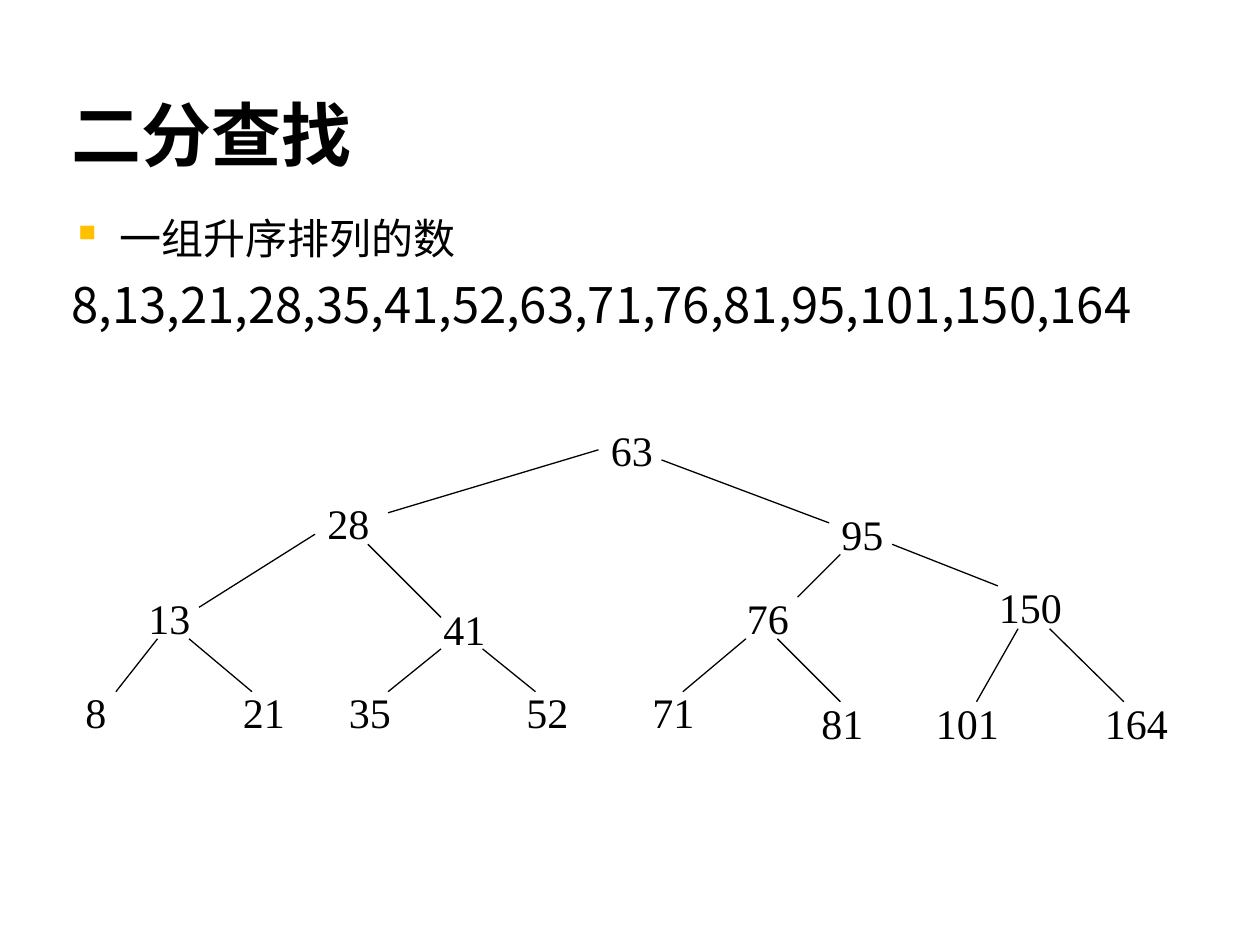
from lxml import etree
from pptx import Presentation
from pptx.dml.color import RGBColor
from pptx.enum import shapes, text
from pptx.oxml.ns import qn
from pptx.util import Inches, Pt

BLACK = RGBColor(0x00, 0x00, 0x00)
AMBER = RGBColor(0xFF, 0xC0, 0x00)
WHITE = RGBColor(0xFF, 0xFF, 0xFF)
CJK, SERIF = "Noto Sans CJK SC", "Times New Roman"

TITLE = "二分查找"
INTRO = "一组升序排列的数"
NUMBERS = [8, 13, 21, 28, 35, 41, 52, 63, 71, 76, 81, 95, 101, 150, 164]

# value: left, top of its label
NODES = {
    63: (4.75, 3.32),
    28: (2.5, 3.9), 95: (6.58, 3.99),
    13: (1.08, 4.65), 41: (3.42, 4.74), 76: (5.83, 4.65), 150: (7.83, 4.57),
    8: (0.58, 5.4), 21: (1.83, 5.4), 35: (2.67, 5.4), 52: (4.08, 5.4),
    71: (5.08, 5.4), 81: (6.42, 5.49), 101: (7.33, 5.49), 164: (8.67, 5.49),
}
# (parent, child): start x, start y, end x, end y
EDGES = {
    (63, 28): (4.75, 3.57, 3.08, 4.07), (63, 95): (5.25, 3.65, 6.58, 4.15),
    (28, 13): (2.5, 4.24, 1.58, 4.82), (28, 41): (2.92, 4.32, 3.5, 4.9),
    (13, 8): (1.25, 5.07, 0.92, 5.49), (13, 21): (1.5, 5.07, 2, 5.49),
    (41, 35): (3.5, 5.15, 3.08, 5.49), (41, 52): (3.83, 5.15, 4.25, 5.49),
    (95, 76): (6.67, 4.4, 6.33, 4.74), (95, 150): (7.08, 4.32, 7.92, 4.65),
    (76, 71): (5.92, 5.07, 5.42, 5.49), (76, 81): (6.17, 5.07, 6.67, 5.57),
    (150, 101): (8.08, 4.99, 7.75, 5.57), (150, 164): (8.33, 4.99, 8.92, 5.57),
}
NODE_HEIGHT = 0.5


def add_run(p, words, east_asian=CJK, **font):
    r = p.add_run()
    r.text = words
    r.font.color.rgb = BLACK
    for name, value in font.items():
        setattr(r.font, name, value)
    etree.SubElement(r._r.get_or_add_rPr(), qn("a:ea"), typeface=east_asian)


def add_box(s, left, top, width, height):
    box = s.shapes.add_textbox(*map(Inches, (left, top, width, height)))
    box.text_frame.word_wrap = True
    return box


def add_bullet(p, char, color, indent):
    pPr = p._p.get_or_add_pPr()
    pPr.set("marL", str(Inches(indent)))
    pPr.set("indent", str(-Inches(indent)))
    clr = etree.SubElement(pPr, qn("a:buClr"))
    etree.SubElement(clr, qn("a:srgbClr"), val=str(color))
    etree.SubElement(pPr, qn("a:buChar"), char=char)


def add_title(s):
    title = s.shapes.title
    title.left, title.top, title.width, title.height = map(
        Inches, (0.47, 0.47, 9, 0.98))
    tf = title.text_frame
    tf.vertical_anchor = text.MSO_ANCHOR.BOTTOM
    tf.auto_size = text.MSO_AUTO_SIZE.NONE
    p = tf.paragraphs[0]
    p.alignment = text.PP_ALIGN.LEFT
    p.line_spacing = 0.9
    add_run(p, TITLE, name="Calibri", size=Pt(40), bold=True)


def add_body(s):
    tf = add_box(s, 0.47, 1.68, 9.06, 5.21).text_frame
    intro, numbers = tf.paragraphs[0], tf.add_paragraph()
    intro.line_spacing = numbers.line_spacing = 0.9
    add_bullet(intro, "▪", AMBER, 0.38)
    add_run(intro, INTRO, name=CJK, size=Pt(24))
    numbers.space_before = Pt(10)
    add_run(numbers, ",".join(map(str, NUMBERS)), name=CJK, size=Pt(28))


def add_tree(s):
    labels = {}
    for value, (left, top) in NODES.items():
        width = 0.75 if value >= 100 else 0.58
        box = labels[value] = add_box(s, left, top, width, NODE_HEIGHT)
        box.text_frame.auto_size = text.MSO_AUTO_SIZE.SHAPE_TO_FIT_TEXT
        add_run(box.text_frame.paragraphs[0], str(value),
                name=SERIF, size=Pt(24))
    for (parent, child), ends in EDGES.items():
        line = s.shapes.add_connector(
            shapes.MSO_CONNECTOR.STRAIGHT, *map(Inches, ends))
        line.line.color.rgb = BLACK
        line.line.width = Pt(0.75)
        etree.SubElement(line._element.spPr, qn("a:effectLst"))
        if (parent, child) == (63, 28):
            line.begin_connect(labels[parent], 1)


def main():
    prs = Presentation()
    prs.slide_width, prs.slide_height = Inches(10), Inches(7.5)
    s = prs.slides.add_slide(prs.slide_layouts[5])
    s.background.fill.solid()
    s.background.fill.fore_color.rgb = WHITE
    add_title(s)
    add_body(s)
    add_tree(s)
    prs.save("out.pptx")


if __name__ == "__main__":
    main()
